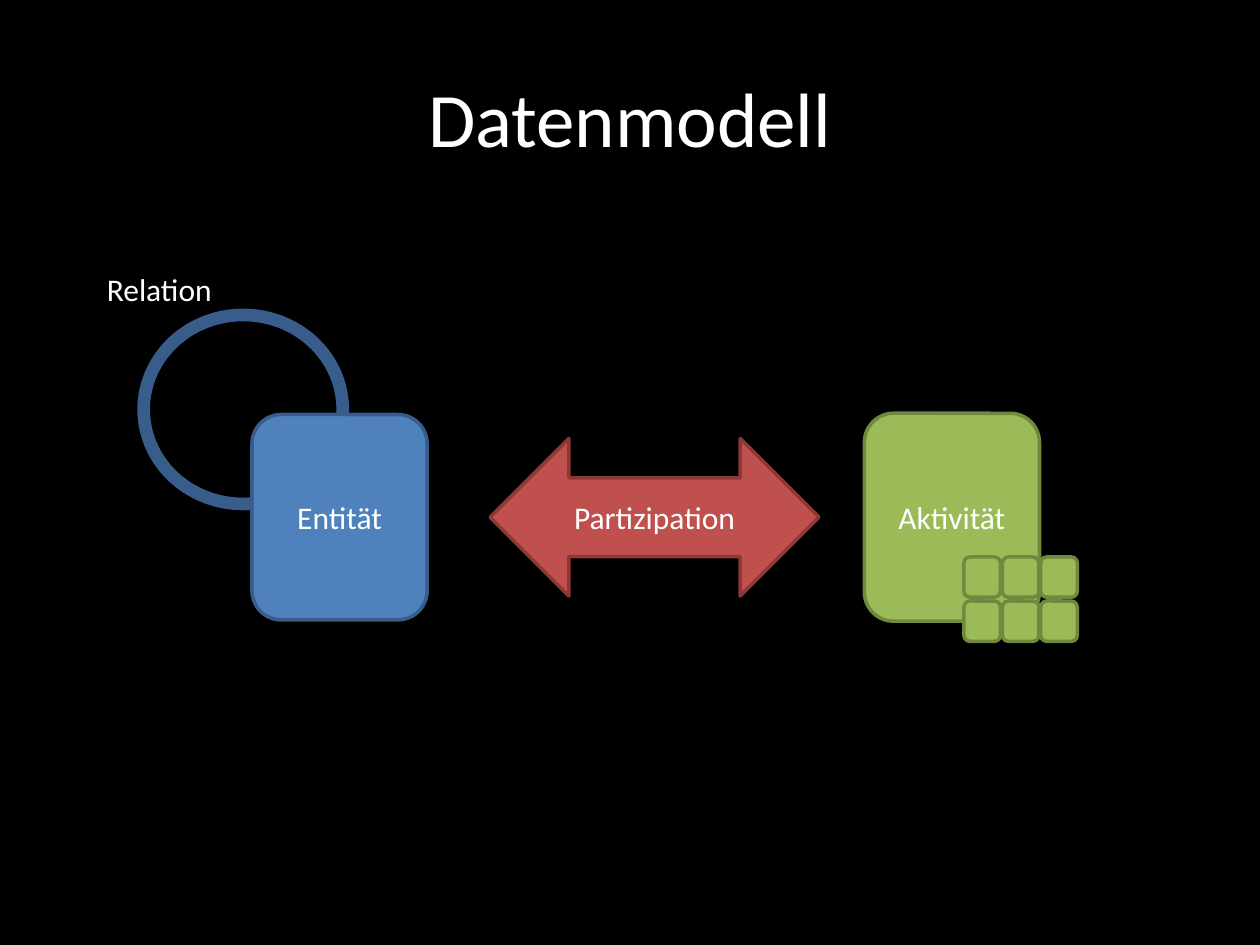
"""Build the Datenmodell slide: entity, participation and activity."""
import dataclasses
import itertools

import pptx
import pptx.dml.color
import pptx.enum.shapes
import pptx.enum.text
import pptx.util

Inches = pptx.util.Inches
Pt = pptx.util.Pt
Kind = pptx.enum.shapes.MSO_SHAPE
Align = pptx.enum.text.PP_ALIGN
Anchor = pptx.enum.text.MSO_ANCHOR


@dataclasses.dataclass(frozen=True)
class Tone:
    """A fill colour with its outline colour."""
    fill: str | None
    line: str


@dataclasses.dataclass(frozen=True)
class Theme:
    """Colours, font and sizes of the slide."""
    back: str = "000000"
    text: str = "FFFFFF"
    font: str = "Calibri"
    title: float = 44
    body: float = 18
    edge: float = 2
    ring: float = 7.25
    loop: Tone = Tone(None, "385D8A")
    blue: Tone = Tone("4F81BD", "385D8A")
    green: Tone = Tone("9BBB59", "71893F")
    red: Tone = Tone("C0504D", "8C3836")


@dataclasses.dataclass(frozen=True)
class Node:
    """A shape with its place in inches, tone and label."""
    kind: Kind
    left: float
    top: float
    width: float
    height: float
    tone: Tone
    label: str = ""
    edge: float = Theme.edge


THEME = Theme()
NODES = [
    Node(Kind.ROUNDED_RECTANGLE, 2, 3.29, 1.39, 1.63, THEME.blue, "Entität"),
    Node(Kind.ROUNDED_RECTANGLE, 6.86, 3.28, 1.39, 1.65, THEME.green, "Aktivität"),
    *(Node(Kind.ROUNDED_RECTANGLE, 7.65 + 0.305 * col, 4.42 + 0.35 * row,
           0.29, 0.32, THEME.green)
      for row, col in itertools.product(range(2), range(3))),
    Node(Kind.LEFT_RIGHT_ARROW, 3.89, 3.48, 2.61, 1.25, THEME.red, "Partizipation"),
]
LOOP = Node(Kind.OVAL, 1.14, 2.5, 1.58, 1.5, THEME.loop, edge=THEME.ring)


def color(code: str) -> pptx.dml.color.RGBColor:
    """Turn a hex code into a colour."""
    return pptx.dml.color.RGBColor.from_string(code)


def write(frame, text: str, size: float, align: Align) -> None:
    """Put one styled paragraph into a text frame."""
    frame.text = text
    para = frame.paragraphs[0]
    para.alignment = align
    para.font.name = THEME.font
    para.font.size = Pt(size)
    para.font.color.rgb = color(THEME.text)


def draw(shapes, node: Node) -> None:
    """Draw a node with its label."""
    shape = shapes.add_shape(node.kind, Inches(node.left), Inches(node.top),
                             Inches(node.width), Inches(node.height))
    shape.shadow.inherit = False
    if node.tone.fill:
        shape.fill.solid()
        shape.fill.fore_color.rgb = color(node.tone.fill)
    else:
        shape.fill.background()
    shape.line.color.rgb = color(node.tone.line)
    shape.line.width = Pt(node.edge)
    if node.label:
        shape.text_frame.vertical_anchor = Anchor.MIDDLE
        write(shape.text_frame, node.label, THEME.body, Align.CENTER)


def main() -> None:
    """Build and save the slide."""
    deck = pptx.Presentation()
    deck.slide_width, deck.slide_height = Inches(10), Inches(7.5)
    slide = deck.slides.add_slide(deck.slide_layouts[5])
    slide.background.fill.solid()
    slide.background.fill.fore_color.rgb = color(THEME.back)

    title = slide.shapes.title
    title.left, title.top = Inches(0.5), Inches(0.3)
    title.width, title.height = Inches(9), Inches(1.25)
    title.text_frame.vertical_anchor = Anchor.MIDDLE
    write(title.text_frame, "Datenmodell", THEME.title, Align.CENTER)

    group = slide.shapes.add_group_shape()
    draw(group.shapes, LOOP)
    note = group.shapes.add_textbox(Inches(0.75), Inches(2.09), Inches(1.04), Inches(0.4))
    note.text_frame.word_wrap = False
    write(note.text_frame, "Relation", THEME.body, Align.LEFT)

    for node in NODES:
        draw(slide.shapes, node)
    deck.save("out.pptx")


if __name__ == "__main__":
    main()
